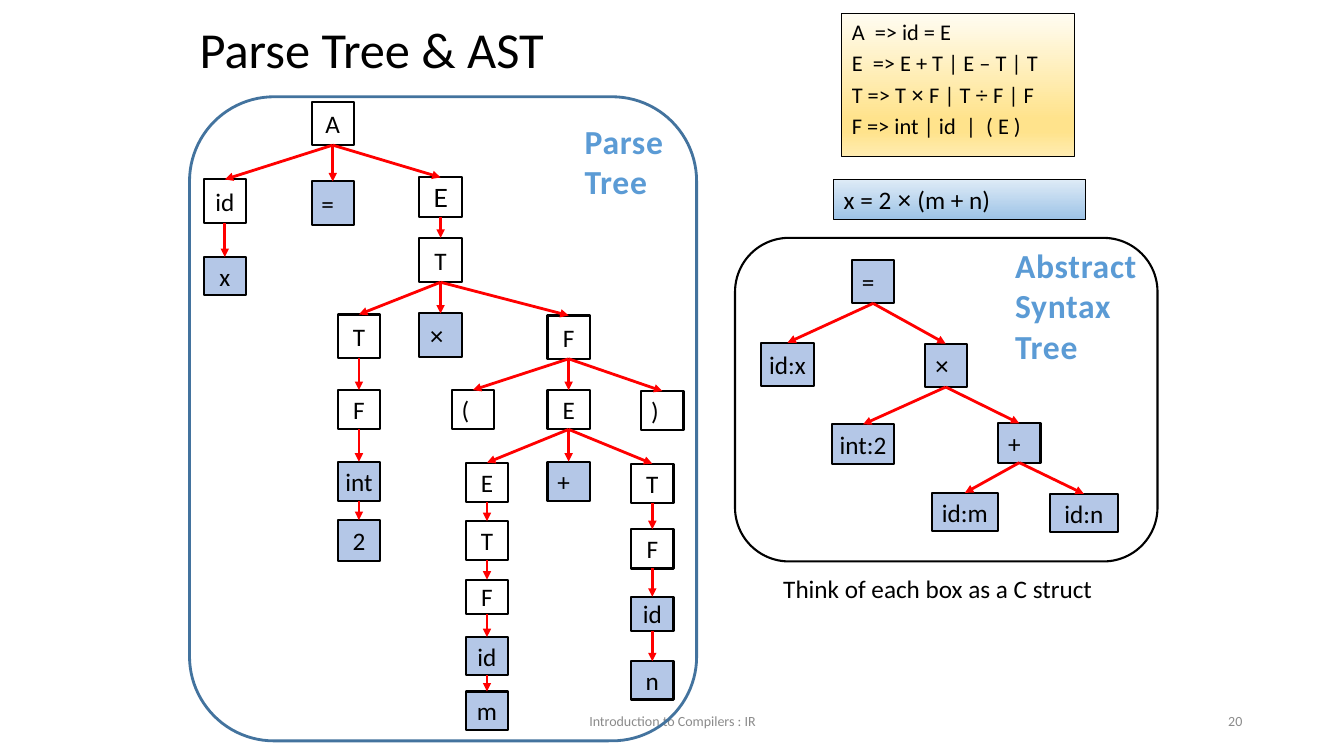
import itertools
import lxml.etree
import pptx
import pptx.dml.color
import pptx.enum.shapes
import pptx.enum.text
import pptx.oxml
import pptx.oxml.ns
import pptx.util

Inches = pptx.util.Inches
Pt = pptx.util.Pt
hex_color = pptx.dml.color.RGBColor.from_string
Shapes = pptx.enum.shapes.MSO_SHAPE
Align = pptx.enum.text.PP_ALIGN
Anchor = pptx.enum.text.MSO_ANCHOR
qualified = pptx.oxml.ns.qn


def write_text(shape, lines, size, color="000000", alignment=Align.LEFT,
               anchor=Anchor.TOP, wrap=True, font="Calibri"):
    frame = shape.text_frame
    frame.word_wrap = wrap
    frame.vertical_anchor = anchor
    for index, line in enumerate(lines):
        paragraph = frame.add_paragraph() if index else frame.paragraphs[0]
        paragraph.alignment = alignment
        paragraph.font.name = font
        paragraph.font.size = Pt(size)
        paragraph.font.color.rgb = hex_color(color)
        for is_operator, letters in itertools.groupby(line, lambda letter: letter in "×÷"):
            run = paragraph.add_run()
            run.text = "".join(letters)
            if is_operator:
                run.font.name = "Arial"
    return frame


def add_box(kind, left, top, width, height, line_color, line_width, fill=None):
    shape = slide.shapes.add_shape(kind, Inches(left), Inches(top), Inches(width), Inches(height))
    shape.shadow.inherit = False
    shape.line.color.rgb = hex_color(line_color)
    shape.line.width = Pt(line_width)
    if fill:
        shape.fill.solid()
        shape.fill.fore_color.rgb = hex_color(fill)
    else:
        shape.fill.background()
    return shape


presentation = pptx.Presentation()
presentation.slide_width = Inches(13.33)
presentation.slide_height = Inches(7.5)
slide = presentation.slides.add_slide(presentation.slide_layouts[5])

title = slide.shapes.title
title.left, title.top, title.width, title.height = map(Inches, (1.88, 0.22, 8.62, 0.59))
title_frame = write_text(title, ["Parse Tree & AST"], 36, anchor=Anchor.MIDDLE)
title_frame.auto_size = pptx.enum.text.MSO_AUTO_SIZE.NONE
title_frame.paragraphs[0].line_spacing = 0.9

for left, width, text, alignment in [
    (4.42, 4.5, "Introduction to Compilers : IR", Align.CENTER),
    (9.42, 3, "20", Align.RIGHT),
]:
    footer = slide.shapes.add_textbox(Inches(left), Inches(6.95), Inches(width), Inches(0.4))
    write_text(footer, [text], 10, "8B8B8B", alignment, Anchor.MIDDLE)

add_box(Shapes.ROUNDED_RECTANGLE, 7.29, 2.36, 4.19, 3.21, "000000", 1.5)
add_box(Shapes.ROUNDED_RECTANGLE, 1.88, 0.96, 5.03, 6.39, "43739E", 2)

NODE_WIDTH = 0.42
TERMINAL = "B4C7E7"
INNER = None
tree_nodes = [
    ("A", "A", None, 3.3, 1.01, NODE_WIDTH, 0.43, INNER),
    ("target", "id", "A", 2.23, 1.78, NODE_WIDTH, 0.43, INNER),
    ("x", "x", "target", 2.23, 2.55, NODE_WIDTH, 0.38, TERMINAL),
    ("assign", "=", "A", 3.3, 1.8, NODE_WIDTH, 0.43, TERMINAL),
    ("value", "E", "A", 4.37, 1.76, NODE_WIDTH, 0.39, INNER),
    ("product", "T", "value", 4.37, 2.36, NODE_WIDTH, 0.44, INNER),
    ("left term", "T", "product", 3.56, 3.12, NODE_WIDTH, 0.43, INNER),
    ("times", "×", "product", 4.37, 3.11, NODE_WIDTH, 0.43, TERMINAL),
    ("group", "F", "product", 5.64, 3.13, NODE_WIDTH, 0.43, INNER),
    ("left factor", "F", "left term", 3.56, 3.87, NODE_WIDTH, 0.39, INNER),
    ("int", "int", "left factor", 3.56, 4.58, NODE_WIDTH, 0.39, TERMINAL),
    ("2", "2", "int", 3.56, 5.16, NODE_WIDTH, 0.41, TERMINAL),
    ("open", "(", "group", 4.69, 3.87, NODE_WIDTH, 0.39, INNER),
    ("sum", "E", "group", 5.64, 3.87, NODE_WIDTH, 0.39, INNER),
    ("close", ")", "group", 6.57, 3.88, NODE_WIDTH, 0.39, INNER),
    ("m sum", "E", "sum", 4.83, 4.59, NODE_WIDTH, 0.39, INNER),
    ("plus", "+", "sum", 5.64, 4.58, NODE_WIDTH, 0.39, TERMINAL),
    ("n term", "T", "sum", 6.47, 4.6, NODE_WIDTH, 0.39, INNER),
    ("m term", "T", "m sum", 4.83, 5.17, NODE_WIDTH, 0.39, INNER),
    ("m factor", "F", "m term", 4.83, 5.75, NODE_WIDTH, 0.34, INNER),
    ("m id", "id", "m factor", 4.83, 6.32, NODE_WIDTH, 0.38, TERMINAL),
    ("m", "m", "m id", 4.83, 6.86, NODE_WIDTH, 0.38, TERMINAL),
    ("n factor", "F", "n term", 6.47, 5.25, NODE_WIDTH, 0.39, INNER),
    ("n id", "id", "n factor", 6.47, 5.92, NODE_WIDTH, 0.34, TERMINAL),
    ("n", "n", "n id", 6.47, 6.56, NODE_WIDTH, 0.38, TERMINAL),
    ("ast =", "=", None, 8.66, 2.58, NODE_WIDTH, 0.43, TERMINAL),
    ("ast x", "id:x", "ast =", 7.81, 3.4, 0.53, 0.43, TERMINAL),
    ("ast ×", "×", "ast =", 9.38, 3.41, NODE_WIDTH, 0.43, TERMINAL),
    ("ast 2", "int:2", "ast ×", 8.56, 4.21, 0.61, 0.39, TERMINAL),
    ("ast +", "+", "ast ×", 10.11, 4.2, NODE_WIDTH, 0.39, TERMINAL),
    ("ast m", "id:m", "ast +", 9.57, 4.89, 0.65, 0.38, TERMINAL),
    ("ast n", "id:n", "ast +", 10.75, 4.9, 0.67, 0.38, TERMINAL),
]
BOTTOM_SITE, TOP_SITE = 2, 0
boxes = {}
for name, label, parent, center, top, width, height, fill in tree_nodes:
    box = add_box(Shapes.RECTANGLE, center - width / 2, top, width, height, "000000", 1.5, fill)
    write_text(box, [label], 18, alignment=Align.LEFT if label in "=×+()" else Align.CENTER,
               anchor=Anchor.MIDDLE, wrap=False, font="Lato" if name == "value" else "Calibri")
    boxes[name] = box
    if parent:
        arrow = slide.shapes.add_connector(pptx.enum.shapes.MSO_CONNECTOR.STRAIGHT, 0, 0, 0, 0)
        arrow.begin_connect(boxes[parent], BOTTOM_SITE)
        arrow.end_connect(box, TOP_SITE)
        arrow.line.color.rgb = hex_color("FF0000")
        arrow.line.width = Pt(2)
        lxml.etree.SubElement(arrow.line._get_or_add_ln(), qualified("a:tailEnd"), type="triangle")
        lxml.etree.SubElement(arrow._element.spPr, qualified("a:effectLst"))

grammar = ["A  => id = E", "E  => E + T | E – T | T", "T => T × F | T ÷ F | F", "F => int | id  |  ( E )"]
for left, top, width, height, lines, size, stops in [
    (8.35, 0.13, 2.31, 1.42, grammar, 16,
     [(0, "FFFCF2"), (74, "FFE38C"), (83, "FFE38C"), (100, "FFECB2")]),
    (8.27, 1.78, 2.5, 0.4, ["x = 2 × (m + n)"], 18, [(0, "DEEBF7"), (100, "9DC3E6")]),
]:
    panel = add_box(Shapes.RECTANGLE, left, top, width, height, "000000", 0.75)
    panel.fill.gradient()
    panel.fill.gradient_angle = 270
    stop_list = panel._element.spPr.find(".//" + qualified("a:gsLst"))
    stop_list.clear()
    for position, color in stops:
        stop = lxml.etree.SubElement(stop_list, qualified("a:gs"), pos=str(position * 1000))
        lxml.etree.SubElement(stop, qualified("a:srgbClr"), val=color)
    panel_frame = write_text(panel, lines, size)
    for paragraph in panel_frame.paragraphs[1:]:
        paragraph.space_before = Pt(3.2)

note = slide.shapes.add_textbox(Inches(7.67), Inches(5.64), Inches(3.57), Inches(0.7))
write_text(note, ["Think of each box as a C struct"], 18)

for left, top, height, text in [(5.7, 1.15, 0.9, "Parse Tree"), (9.97, 2.38, 1.7, "Abstract Syntax Tree")]:
    heading = slide.shapes.add_textbox(Inches(left), Inches(top), Inches(1.46), Inches(height))
    paragraph = write_text(heading, [text], 24, "5B9BD5").paragraphs[0]
    paragraph.font.bold = True
    paragraph.runs[0]._r.get_or_add_rPr().set("spc", "50")

presentation.save("out.pptx")
